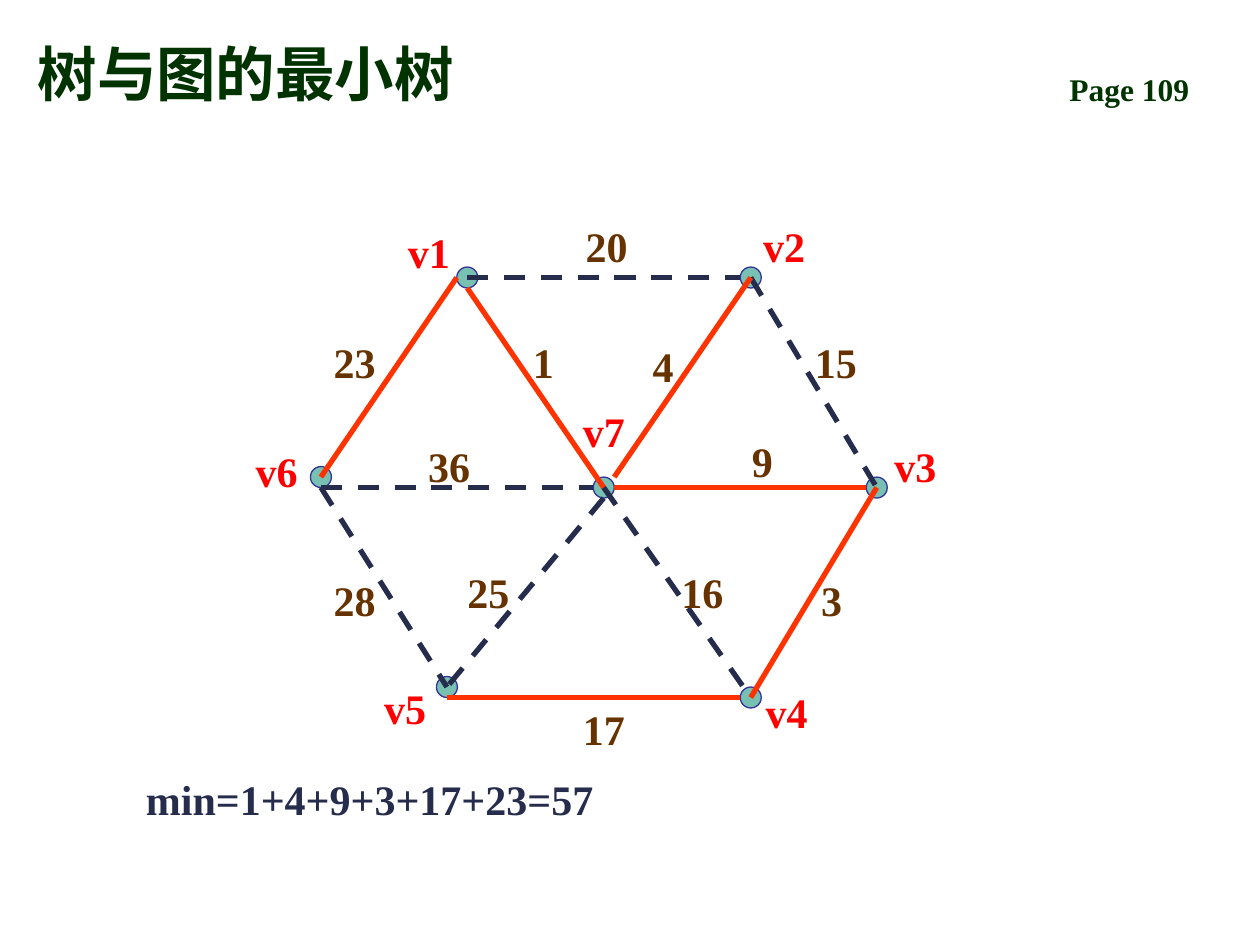
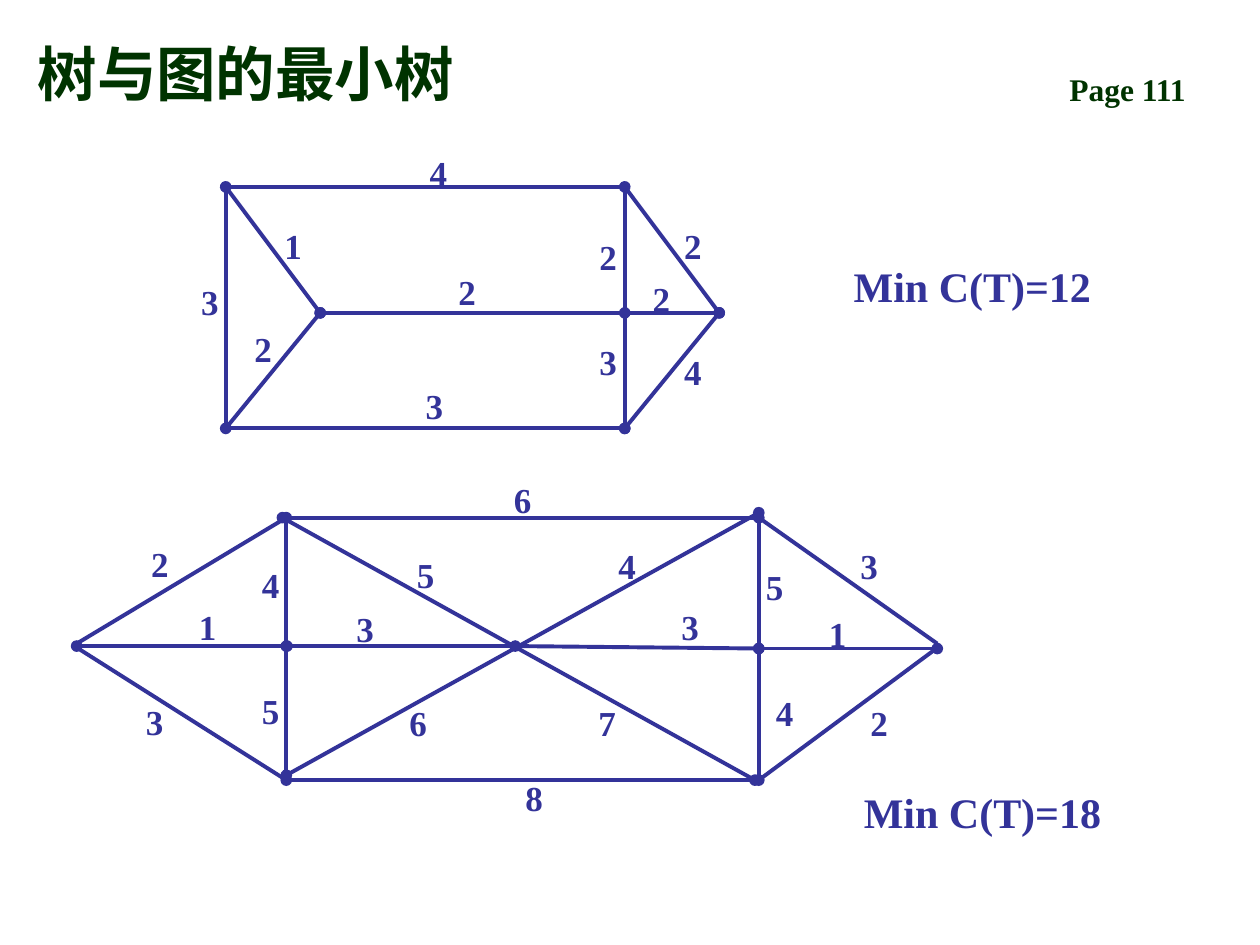
from lxml.etree import SubElement as Sub
from pptx import Presentation as Deck
from pptx.dml.color import RGBColor
from pptx.enum.dml import MSO_LINE as Dash
from pptx.enum.shapes import MSO_CONNECTOR as Conn, MSO_SHAPE as Shape
from pptx.enum.text import MSO_ANCHOR as Anchor, PP_ALIGN as Align
from pptx.oxml.ns import qn
from pptx.util import Pt

hue = RGBColor.from_string
FONT = "Times New Roman"
GREEN, NAVY, BLUE = "003300", "262D4C", "333399"
RED, BROWN, TREE, TEAL = "FF0000", "663300", "FF3300", "78C0B2"


def put(page, text, x, y, wide, high, size=24, color=BLUE, align=Align.LEFT, anchor=Anchor.TOP):
    box = page.shapes.add_textbox(Pt(x), Pt(y), Pt(wide), Pt(high))
    frame = box.text_frame
    frame.word_wrap = True
    frame.vertical_anchor = anchor
    para = frame.paragraphs[0]
    para.alignment = align
    run = para.add_run()
    run.text = text
    font = run.font
    font.name, font.size, font.bold = FONT, Pt(size), True
    font.color.rgb = hue(color)


def link(page, start, end, color=BLUE, width=2.25, dash=False, dots=""):
    wire = page.shapes.add_connector(Conn.STRAIGHT, *map(Pt, start + end))
    wire.line.color.rgb = hue(color)
    wire.line.width = Pt(width)
    if dash:
        wire.line.dash_style = Dash.DASH
    props = wire._element.spPr
    for tip in dots.split():
        Sub(props.find(qn("a:ln")), qn(f"a:{tip}End"), type="oval")
    Sub(props, qn("a:effectLst"))


deck = Deck()
deck.slide_width, deck.slide_height = Pt(720), Pt(540)
pages = []
for number in (109, 111):
    page = deck.slides.add_slide(deck.slide_layouts[6])
    put(page, f"Page {number}", 604, 36.75, 102, 29, 18, GREEN)
    put(page, "树与图的最小树", 14.4, 9.4, 578, 56, 34, GREEN, anchor=Anchor.BOTTOM)
    pages.append(page)
first, second = pages

RAD = 6
nodes = {
    "v7": (345, 278.6), "v4": (429, 398.6), "v5": (255.4, 392.6), "v2": (429, 158.6),
    "v3": (501, 278.6), "v6": (183.4, 272.6), "v1": (267, 158.6),
}
for x, y in nodes.values():
    dot = first.shapes.add_shape(Shape.OVAL, Pt(x - RAD), Pt(y - RAD), Pt(2 * RAD), Pt(2 * RAD))
    dot.shadow.inherit = False
    dot.fill.solid()
    dot.fill.fore_color.rgb = hue(TEAL)
    dot.line.color.rgb = hue(BLUE)
    dot.line.width = Pt(0.75)

sides = {"mid": (0, 0), "left": (-RAD, 0), "right": (RAD, 0),
         "top": (0, -RAD), "low": (0, RAD), "corner": (RAD, -RAD)}
edges = [
    ("v1", "mid", "v2", "left", False),
    ("v1", "left", "v6", "mid", True),
    ("v2", "mid", "v3", "mid", False),
    ("v1", "low", "v7", "mid", True),
    ("v2", "mid", "v7", "corner", True),
    ("v6", "low", "v7", "left", False),
    ("v7", "right", "v3", "left", True),
    ("v6", "low", "v5", "mid", False),
    ("v7", "low", "v5", "mid", False),
    ("v7", "mid", "v4", "mid", False),
    ("v5", "low", "v4", "left", True),
    ("v3", "mid", "v4", "mid", True),
]
for head, near, tail, far, tree in edges:
    start, end = (tuple(p + d for p, d in zip(nodes[n], sides[s]))
                  for n, s in ((head, near), (tail, far)))
    link(first, start, end, TREE if tree else NAVY, 3, not tree)

names = [
    ("v1", 226, 126), ("v7", 326, 228), ("v4", 430.5, 388.8), ("v3", 504, 248.4),
    ("v2", 429, 122.4), ("v5", 212.4, 386.6), ("v6", 139, 251.3),
]
costs = [
    ("20", 327.6, 122.4), ("15", 458.6, 188.6), ("9", 422.6, 245.5), ("16", 382.3, 320.4),
    ("25", 260, 320.4), ("3", 462.2, 324.7), ("28", 183.6, 324.7), ("17", 326, 398.2),
    ("4", 365.8, 190.8), ("1", 297.4, 188.6), ("23", 183.6, 188.6), ("36", 237.6, 248.4),
]
for group, color in ((names, RED), (costs, BROWN)):
    for text, x, y in group:
        put(first, text, x, y, 42, 36, color=color)
put(first, "min=1+4+9+3+17+23=57", 76.3, 438.5, 562, 36, color=NAVY)

BOTH = "head tail"
west, inner, east, tip = 129, 183, 357, 411
top, mid, low = 106.8, 178.8, 244.8
upper = [
    ((west, top), (east, top), ""),
    ((west, low), (east, low), BOTH),
    ((west, top), (west, low), ""),
    ((east, top), (east, low), ""),
    ((east, top), (tip, mid), BOTH),
    ((east, low), (tip, mid), BOTH),
    ((west, top), (inner, mid), BOTH),
    ((west, low), (inner, mid), ""),
    ((inner, mid), (east, mid), BOTH),
    ((east, mid), (tip, mid), ""),
]
west, east, tip = 163.6, 433.6, 535.6
top, mid, low = 295.8, 369.2, 445.8
lower = [
    ((43.8, 367.8), (west, top), ""),
    ((42.5, mid), (west, low), ""),
    ((west, top), (west, low), BOTH),
    ((west, top), (east, top), ""),
    ((west, low), (east, low), ""),
    ((east, top), (east, low), BOTH),
    ((43.8, mid), (164, mid), BOTH),
    ((west, 443), (east, 293), BOTH),
    ((161.4, top), (431.4, low), BOTH),
    ((west, mid), (301.5, mid), "head"),
    ((294.4, mid), (east, 370.6), BOTH),
    ((east, top), (tip, 367.8), ""),
    ((east, 370.6), (tip, 370.6), BOTH),
    ((east, low), (tip, 370.2), ""),
]
for start, end, dots in upper + lower:
    link(second, start, end, dots=dots)

marks = [
    (3, 105, 157), (4, 235.5, 82.8), (1, 152.6, 124.6), (2, 135.4, 183.6),
    (2, 252, 151.2), (3, 233.3, 216), (2, 332.6, 131), (3, 332.6, 190.8),
    (2, 380.9, 124.6), (4, 380.9, 196.6), (2, 362.9, 154.8),
    (2, 76.3, 306.7), (1, 103.7, 342.7), (3, 73.4, 396.7), (6, 283.7, 270),
    (3, 379.4, 342.7), (8, 290.2, 440), (5, 228.2, 312.5), (3, 193.7, 343.4),
    (4, 139.7, 318.2), (5, 139.7, 390.2), (6, 224, 397.4), (7, 332, 397.4),
    (4, 343.4, 307.4), (5, 427.7, 319.7), (4, 433.4, 391.7), (3, 481.7, 307.4),
    (2, 487.4, 397.4), (1, 463.7, 346.3),
]
for cost, x, y in marks:
    put(second, str(cost), x, y, 30, 31, 20, align=Align.CENTER)
for total, x, y in ((12, 450.7, 145.4), (18, 456.5, 445.7)):
    put(second, f"Min C(T)={total}", x, y, 210, 36, align=Align.CENTER)

deck.save("out.pptx")
